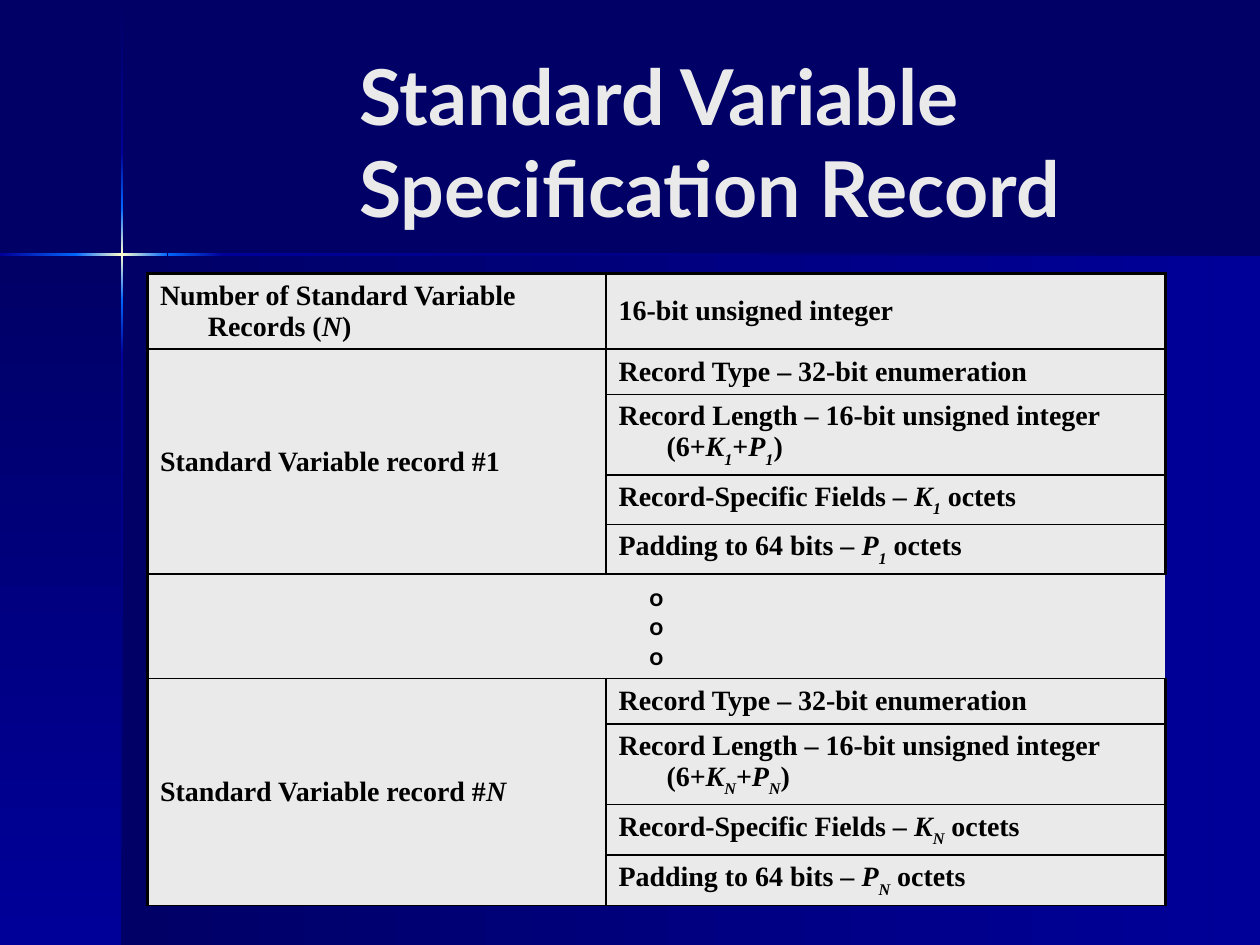
from lxml.etree import SubElement
from pptx import Presentation
from pptx.dml.color import RGBColor
from pptx.enum.shapes import MSO_SHAPE
from pptx.enum.text import MSO_ANCHOR, MSO_AUTO_SIZE, PP_ALIGN
from pptx.oxml.ns import qn
from pptx.util import Inches, Pt

COLORS = {"night": "000066", "navy": "000099", "blue": "0066FF",
          "glow": "FFFFCC", "pale": "EAEAEA", "ink": "000000"}
RIGHTWARD, DOWNWARD = 0, 90

TITLE = "Standard Variable Specification Record"
TITLE_BOX = (2.75, 0.33, 6.92, 1.57)
DOTS = ["o"] * 3

# Panels: left, top, width, height, direction, gradient
FADE_IN = ("night", "navy")
PANELS = [(0.97, 2.02, 9.03, 5.48, RIGHTWARD, FADE_IN),
          (0, 2.02, 0.97, 5.48, DOWNWARD, FADE_IN)]

# Arms of the light cross: start, length, gradient
ARM_WIDTH = 0.02
CROSS_X, CROSS_Y = 0.96, 2.01
SPARK = ("blue", "glow", "blue")
VERTICAL_ARM = [(0.01, 1.2, FADE_IN), (2.82, 4.68, ("navy", "night")),
                (2.38, 0.44, ("blue", "navy")), (1.21, 0.44, ("navy", "blue")),
                (1.65, 0.73, SPARK)]
HORIZONTAL_ARM = [(1.77, 8.23, ("navy", "night")), (0, 0.61, ("navy", "blue")),
                  (1.33, 0.44, ("blue", "navy")), (0.6, 0.73, SPARK)]

TABLE_LEFT, TABLE_TOP = 1.17, 2.17
COLUMN_WIDTHS = (3.64, 4.44)
ROW_HEIGHTS = (0.6, 0.36, 0.64, 0.39, 0.39, 0.83, 0.36, 0.64, 0.4, 0.4)
DOTS_ROW = 5
HANGING = 0.38


def octet_count(letter, index):
    return [(letter, "italic"), (index, "subscript")]


def record_fields(index):
    k, p = octet_count("K", index), octet_count("P", index)
    return [
        [("Record Type – 32-bit enumeration", "")],
        [("Record Length – 16-bit unsigned integer (6+", ""), *k, ("+", ""), *p, (")", "")],
        [("Record-Specific Fields – ", ""), *k, (" octets", "")],
        [("Padding to 64 bits – ", ""), *p, (" octets", "")],
    ]


COUNT_ROW = ([("Number of Standard Variable Records (", ""), ("N", "italic"), (")", "")],
             [("16-bit unsigned integer", "")])
# First row, label, fields
RECORDS = [(1, [("Standard Variable record #1", "")], record_fields("1")),
           (6, [("Standard Variable record #", ""), ("N", "italic")], record_fields("N"))]


def rgb(color):
    return RGBColor.from_string(COLORS[color])


def add_solid(parent, color):
    SubElement(SubElement(parent, qn("a:solidFill")), qn("a:srgbClr"), val=COLORS[color])


def add_gradient_panel(slide, left, top, width, height, angle, gradient):
    panel = slide.shapes.add_shape(MSO_SHAPE.RECTANGLE, *map(Inches, (left, top, width, height)))
    panel.shadow.inherit = False
    panel.line.fill.background()
    panel.fill.gradient()
    panel.fill.gradient_angle = -angle % 360
    stops = panel.fill.gradient_stops
    stop_list = panel.element.spPr.find(qn("a:gradFill")).find(qn("a:gsLst"))
    for stop in list(stop_list):
        stop_list.remove(stop)
    for i, color in enumerate(gradient):
        position = 100000 * i // (len(gradient) - 1)
        stop = SubElement(stop_list, qn("a:gs"), pos=str(position))
        SubElement(stop, qn("a:srgbClr"), val=COLORS[color])


def add_run(paragraph, text, size, font_name, color, style=""):
    run = paragraph.add_run()
    run.text = text
    settings = {"size": Pt(size), "name": font_name, "bold": True, "italic": style != ""}
    for attribute, value in settings.items():
        setattr(run.font, attribute, value)
    run.font.color.rgb = rgb(color)
    if style == "subscript":
        run.font._element.set("baseline", "-30000")


def write_field(cell, runs):
    paragraph = cell.text_frame.paragraphs[0]
    properties = paragraph._p.get_or_add_pPr()
    properties.set("marL", str(Inches(HANGING)))
    properties.set("indent", str(-Inches(HANGING)))
    for text, style in runs:
        add_run(paragraph, text, 16, "Times New Roman", "ink", style)


def write_dots(cell):
    for i, dot in enumerate(DOTS):
        frame = cell.text_frame
        paragraph = frame.add_paragraph() if i else frame.paragraphs[0]
        paragraph.alignment = PP_ALIGN.CENTER
        add_run(paragraph, dot, 14, "Lato", "ink")


def border_widths(row, column):
    """Heavy outer edges, thin inner ones, none above the dots."""
    return {"a:lnL": 2 if column == 0 else 0 if row == DOTS_ROW else 1,
            "a:lnR": 2 if column == 1 else 0 if row == DOTS_ROW else 1,
            "a:lnT": 2 if row == 0 else 0 if row == DOTS_ROW else 1,
            "a:lnB": 0 if row == DOTS_ROW - 1 else 1}


def format_cell(cell, row, column):
    properties = cell._tc.get_or_add_tcPr()
    for edge, width in border_widths(row, column).items():
        line = SubElement(properties, qn(edge), w=str(Pt(width)))
        if width:
            add_solid(line, "ink")
        else:
            SubElement(line, qn("a:noFill"))
    cell.fill.solid()
    cell.fill.fore_color.rgb = rgb("pale")
    cell.vertical_anchor = MSO_ANCHOR.MIDDLE


def add_title(slide):
    title = slide.shapes.title
    for attribute, value in zip(("left", "top", "width", "height"), TITLE_BOX):
        setattr(title, attribute, Inches(value))
    frame = title.text_frame
    for attribute, value in {"word_wrap": True, "auto_size": MSO_AUTO_SIZE.NONE,
                             "vertical_anchor": MSO_ANCHOR.MIDDLE}.items():
        setattr(frame, attribute, value)
    frame.paragraphs[0].alignment = PP_ALIGN.LEFT
    add_run(frame.paragraphs[0], TITLE, 44, "Lato", "pale")


def add_record_table(slide):
    table = slide.shapes.add_table(
        len(ROW_HEIGHTS), len(COLUMN_WIDTHS), Inches(TABLE_LEFT), Inches(TABLE_TOP),
        Inches(sum(COLUMN_WIDTHS)), Inches(sum(ROW_HEIGHTS))).table
    table.first_row = table.horz_banding = False
    for column, width in zip(table.columns, COLUMN_WIDTHS):
        column.width = Inches(width)
    for row, height in zip(table.rows, ROW_HEIGHTS):
        row.height = Inches(height)
    for row in range(len(ROW_HEIGHTS)):
        for column in range(len(COLUMN_WIDTHS)):
            format_cell(table.cell(row, column), row, column)

    for column, runs in enumerate(COUNT_ROW):
        write_field(table.cell(0, column), runs)
    for first_row, label, fields in RECORDS:
        label_cell = table.cell(first_row, 0)
        label_cell.merge(table.cell(first_row + len(fields) - 1, 0))
        write_field(label_cell, label)
        for row, runs in enumerate(fields, first_row):
            write_field(table.cell(row, 1), runs)
    dots_cell = table.cell(DOTS_ROW, 0)
    dots_cell.merge(table.cell(DOTS_ROW, 1))
    write_dots(dots_cell)


def main():
    presentation = Presentation()
    presentation.slide_width, presentation.slide_height = Inches(10), Inches(7.5)
    slide = presentation.slides.add_slide(presentation.slide_layouts[5])
    slide.background.fill.solid()
    slide.background.fill.fore_color.rgb = rgb("night")

    for panel in PANELS:
        add_gradient_panel(slide, *panel)
    for start, length, gradient in VERTICAL_ARM:
        add_gradient_panel(slide, CROSS_X, start, ARM_WIDTH, length, DOWNWARD, gradient)
    for start, length, gradient in HORIZONTAL_ARM:
        add_gradient_panel(slide, start, CROSS_Y, length, ARM_WIDTH, RIGHTWARD, gradient)
    add_title(slide)
    add_record_table(slide)
    presentation.save("out.pptx")


if __name__ == "__main__":
    main()
